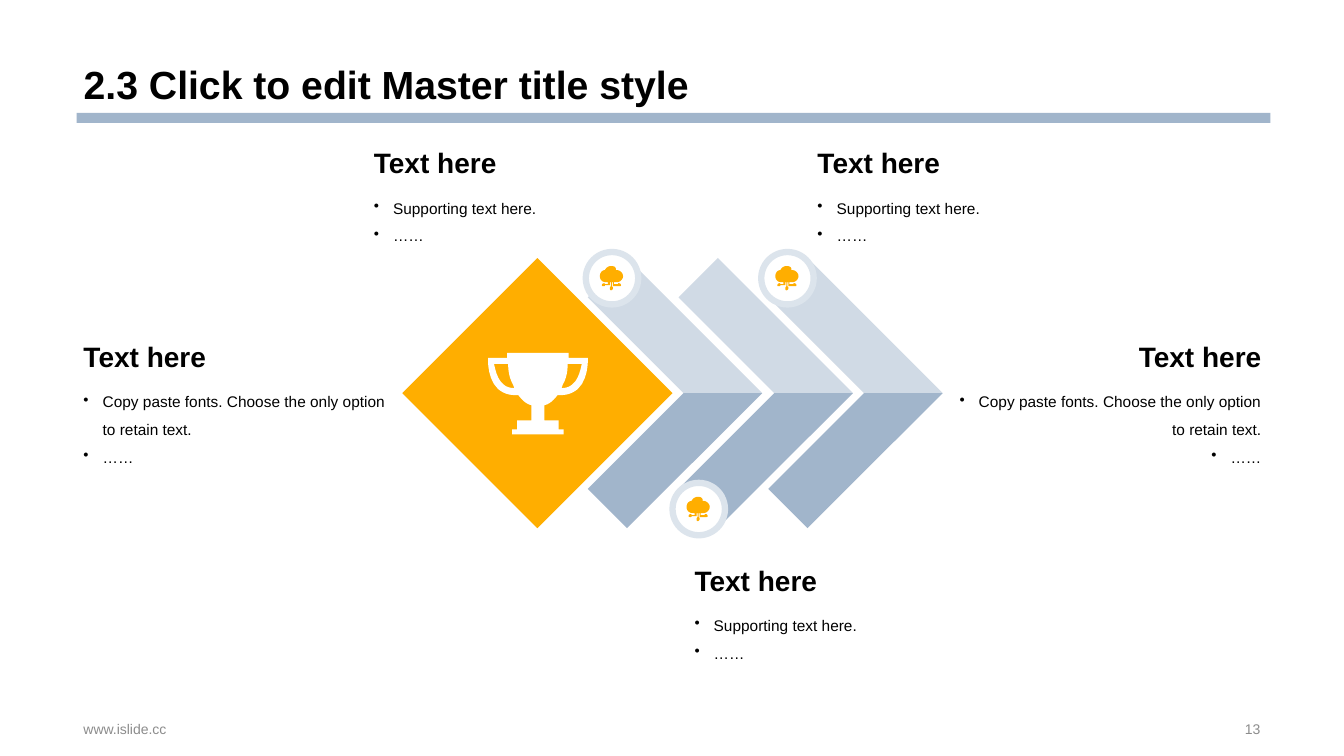
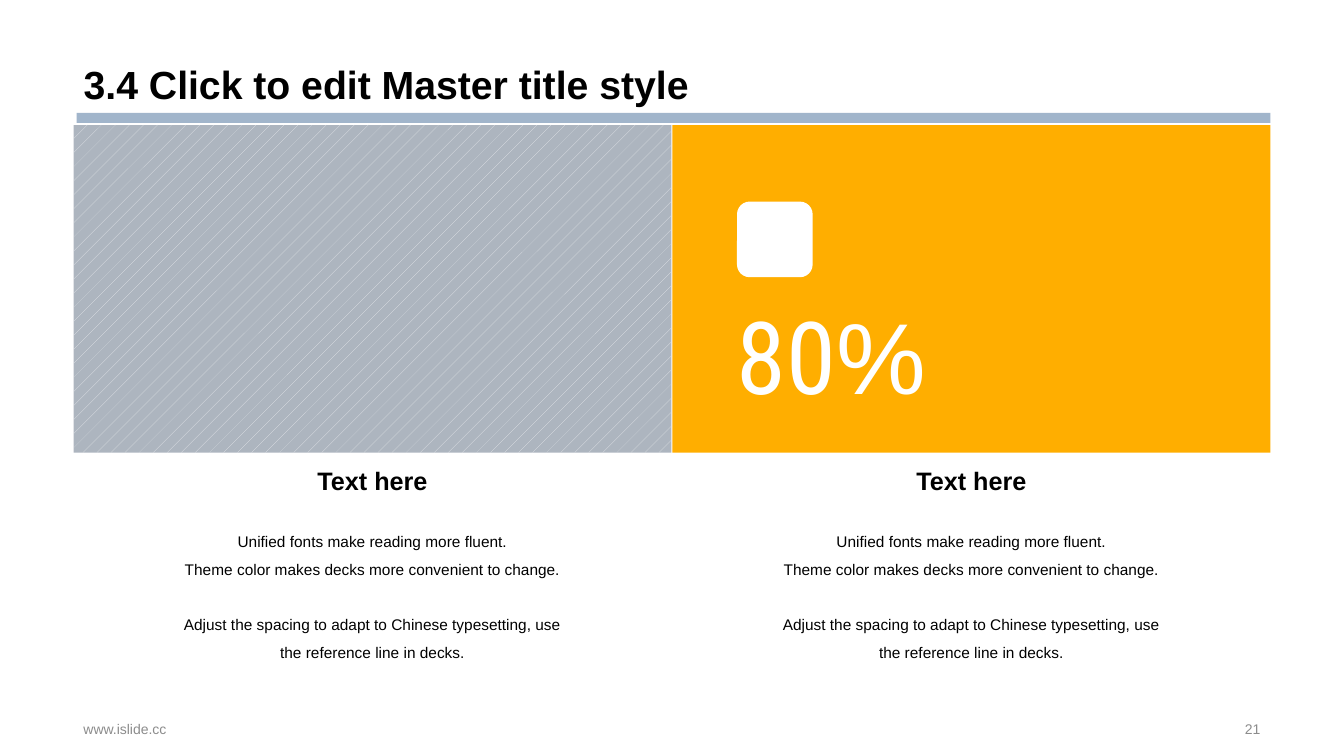
import dataclasses
import typing

import lxml.etree
import pptx
import pptx.dml.color
import pptx.enum.dml
import pptx.enum.shapes
import pptx.enum.text
import pptx.oxml.ns
import pptx.shapes.autoshape
import pptx.slide
import pptx.text.text
import pptx.util

EMU_PER_PX = 9144  # 100 px to the inch
ALIGN = pptx.enum.text.PP_ALIGN
ANCHOR = pptx.enum.text.MSO_ANCHOR
SHAPE = pptx.enum.shapes.MSO_SHAPE

Point = tuple[float, float]
# Two numbers draw a line to a point, six draw a cubic curve
Segment = tuple[int, ...]


@dataclasses.dataclass(frozen=True)
class Theme:
    black: str = "000000"
    white: str = "FFFFFF"
    grey: str = "8C8C8C"
    accent: str = "FFAE00"
    steel: str = "A1B5CB"
    pale: str = "D0DAE5"
    ring: str = "DCE4EC"
    hatch: str = "E4E6EA"
    hatch_ground: str = "ADB5BF"
    font: str = "Arial"
    number_font: str = "Roboto Condensed"
    title_size: int = 28
    heading_size: int = 20
    column_heading_size: int = 18
    body_size: int = 11
    footer_size: int = 10
    number_size: int = 72


THEME = Theme()


class Box(typing.NamedTuple):
    left: int
    top: int
    width: int
    height: int


@dataclasses.dataclass(frozen=True)
class Note:
    left: int
    top: int
    width: int
    body_height: int
    body: str
    align: ALIGN = ALIGN.LEFT


# Content
HEADING = "Text here"
LONG_BODY = "Copy paste fonts. Choose the only option to retain text.\n……"
SHORT_BODY = "Supporting text here.\n……"
COLUMN_BODY = (
    "Unified fonts make reading more fluent.\n"
    "Theme color makes decks more convenient to change.\n"
    "Adjust the spacing to adapt to Chinese typesetting, use the reference line in decks."
)
NOTES = (
    Note(73, 327, 320, 116, LONG_BODY),
    Note(934, 327, 327, 116, LONG_BODY, ALIGN.RIGHT),
    Note(361, 135, 240, 72, SHORT_BODY),
    Note(801, 135, 240, 72, SHORT_BODY),
    Note(679, 549, 240, 72, SHORT_BODY),
)
BADGES = ((581, 250), (667, 479), (755, 250))

# Icon outlines
CLOUD: tuple[Segment, ...] = (
    (17, 16), (20, 16, 23, 13, 23, 10), (23, 7, 20, 4, 17, 4), (16, 4),
    (16, 3, 16, 2, 15, 1), (14, 0, 12, 0, 11, 0), (8, 0, 6, 2, 5, 4),
    (2, 4, 0, 7, 0, 10), (0, 13, 2, 16, 6, 16), (8, 16), (8, 18), (5, 18),
    (5, 17, 4, 17, 4, 17), (3, 17, 2, 18, 2, 19), (2, 20, 3, 20, 4, 20),
    (4, 20, 5, 20, 5, 19), (10, 19), (10, 16), (11, 16), (11, 20),
    (10, 21, 10, 21, 10, 22), (10, 23, 10, 24, 11, 24), (12, 24, 13, 23, 13, 22),
    (13, 21, 13, 21, 12, 20), (12, 16), (13, 16), (13, 20), (18, 20), (19, 20),
    (20, 20, 21, 20, 21, 19), (21, 18, 20, 17, 19, 17), (18, 17, 18, 17, 18, 18),
    (14, 18), (14, 16),
)
TROPHY_WIDTH = 99
TROPHY_HALF: tuple[Segment, ...] = (
    (19, 0), (19, 5), (0, 5), (0, 8), (0, 9, 0, 27, 10, 36), (15, 40, 20, 42, 27, 42),
    (30, 42), (34, 47, 38, 51, 43, 52), (43, 67), (29, 67), (29, 76), (24, 76), (24, 81),
)
TROPHY_HANDLE: tuple[Segment, ...] = (
    (15, 31), (9, 26, 7, 16, 6, 11), (20, 11), (20, 18, 21, 25, 25, 32),
    (26, 35), (22, 35, 18, 34, 15, 31),
)


def px(value: float) -> pptx.util.Emu:
    return pptx.util.Emu(round(value * EMU_PER_PX))


def rgb(color: str) -> pptx.dml.color.RGBColor:
    return pptx.dml.color.RGBColor.from_string(color)


# Text
def add_run(
    paragraph: pptx.text.text._Paragraph, text: str, *, size: int,
    color: str = THEME.black, bold: bool = False, font: str = THEME.font,
) -> None:
    run = paragraph.add_run()
    run.text = text
    run.font.size = pptx.util.Pt(size)
    run.font.bold = bold
    run.font.name = font
    run.font.color.rgb = rgb(color)


def add_bullet(paragraph: pptx.text.text._Paragraph, indent: int = 19) -> None:
    properties = paragraph._p.get_or_add_pPr()
    properties.set("marL", str(px(indent)))
    properties.set("indent", str(-px(indent)))
    bullet = lxml.etree.SubElement(properties, pptx.oxml.ns.qn("a:buChar"))
    bullet.set("char", "•")


def write_text(
    frame: pptx.text.text.TextFrame, text: str, *, align: ALIGN = ALIGN.LEFT,
    anchor: ANCHOR = ANCHOR.TOP, line_spacing: float = 1.0, bullets: bool = False,
    gaps: dict[int, int] | None = None, **run_format: typing.Any,
) -> None:
    """Write one paragraph a line; gaps gives points before a paragraph."""
    frame.word_wrap = True
    frame.auto_size = pptx.enum.text.MSO_AUTO_SIZE.NONE
    frame.vertical_anchor = anchor
    for index, line in enumerate(text.split("\n")):
        paragraph = frame.add_paragraph() if index else frame.paragraphs[0]
        if bullets:
            add_bullet(paragraph)
        paragraph.alignment = align
        paragraph.line_spacing = line_spacing
        paragraph.space_before = pptx.util.Pt((gaps or {}).get(index, 0))
        add_run(paragraph, line, **run_format)


def add_text(
    slide: pptx.slide.Slide, box: Box, text: str, **text_format: typing.Any
) -> pptx.text.text.TextFrame:
    frame = slide.shapes.add_textbox(*map(px, box)).text_frame
    write_text(frame, text, **text_format)
    return frame


# Shapes
def paint(shape: pptx.shapes.autoshape.Shape, fill: str) -> None:
    shape.shadow.inherit = False
    shape.fill.solid()
    shape.fill.fore_color.rgb = rgb(fill)
    shape.line.fill.background()


def add_block(
    slide: pptx.slide.Slide, box: Box, fill: str, kind: SHAPE = SHAPE.RECTANGLE
) -> pptx.shapes.autoshape.Shape:
    shape = slide.shapes.add_shape(kind, *map(px, box))
    paint(shape, fill)
    return shape


def trace(segments: typing.Iterable[Segment], steps: int = 6) -> list[Point]:
    """Turn lines and cubic curves into points."""
    points: list[Point] = []
    for segment in segments:
        if len(segment) == 2:
            points.append((segment[0], segment[1]))
            continue
        x0, y0 = points[-1]
        x1, y1, x2, y2, x3, y3 = segment
        for step in range(1, steps + 1):
            t = step / steps
            a, b, c, d = (1 - t) ** 3, 3 * t * (1 - t) ** 2, 3 * t * t * (1 - t), t**3
            points.append((a * x0 + b * x1 + c * x2 + d * x3,
                           a * y0 + b * y1 + c * y2 + d * y3))
    return points


def add_outline(
    slide: pptx.slide.Slide, left: int, top: int, fill: str, *contours: list[Point]
) -> None:
    builder = None
    for contour in contours:
        first, *rest = [(px(left + x), px(top + y)) for x, y in contour]
        if builder is None:
            builder = slide.shapes.build_freeform(*first, scale=1.0)
        else:
            builder.move_to(*first)
        builder.add_line_segments(rest, close=True)
    paint(builder.convert_to_shape(), fill)


def mirror(points: list[Point]) -> list[Point]:
    return [(TROPHY_WIDTH - x, y) for x, y in reversed(points)]


# Shared slide frame
def add_framed_slide(
    presentation: pptx.presentation.Presentation, title: str, number: int
) -> pptx.slide.Slide:
    slide = presentation.slides.add_slide(presentation.slide_layouts[5])
    add_block(slide, Box(76, 112, 1184, 10), THEME.steel)
    holder = slide.shapes.title
    holder.left, holder.top, holder.width, holder.height = map(px, Box(73, 0, 1187, 112))
    write_text(holder.text_frame, title, size=THEME.title_size, bold=True,
               anchor=ANCHOR.BOTTOM, line_spacing=0.9)
    for box, text, align in (
        (Box(73, 712, 453, 23), "www.islide.cc", ALIGN.LEFT),
        (Box(942, 712, 318, 23), str(number), ALIGN.RIGHT),
    ):
        add_text(slide, box, text, size=THEME.footer_size, color=THEME.grey,
                 align=align, anchor=ANCHOR.MIDDLE)
    return slide


# Slide with diamond and chevrons
def draw_chevrons(slide: pptx.slide.Slide) -> None:
    axis = 390
    for left in (583, 673, 762):
        for side, fill in ((-1, THEME.pale), (1, THEME.steel)):
            arm = [(0, side * 95), (39, side * 134), (173, 0), (95, 0)]
            add_outline(slide, left, axis, fill, arm)
    add_block(slide, Box(399, 256, 268, 268), THEME.accent, SHAPE.DIAMOND)


def build_process_slide(presentation: pptx.presentation.Presentation) -> None:
    slide = add_framed_slide(presentation, "2.3 Click to edit Master title style", 13)
    draw_chevrons(slide)
    for left, top in BADGES:
        badge = add_block(slide, Box(left, top, 52, 52), THEME.white, SHAPE.OVAL)
        badge.line.color.rgb = rgb(THEME.ring)
        badge.line.width = pptx.util.Pt(4.5)
        add_outline(slide, left + 14, top + 14, THEME.accent, trace(CLOUD))
    half, handle = trace(TROPHY_HALF), trace(TROPHY_HANDLE)
    add_outline(slide, 484, 350, THEME.white, half + mirror(half), handle, mirror(handle))
    for note in NOTES:
        add_text(slide, Box(note.left, note.top, note.width, 48), HEADING, bold=True,
                 size=THEME.heading_size, align=note.align, anchor=ANCHOR.BOTTOM)
        add_text(slide, Box(note.left, note.top + 48, note.width, note.body_height),
                 note.body, size=THEME.body_size, align=note.align,
                 line_spacing=1.5, bullets=True)


# Slide with two panels
def build_panel_slide(presentation: pptx.presentation.Presentation) -> None:
    slide = add_framed_slide(presentation, "3.4 Click to edit Master title style", 21)
    panel_width = 593
    for left in (73, 73 + panel_width + 1):
        panel = add_block(slide, Box(left, 124, panel_width, 325), THEME.accent)
        if left == 73:
            panel.fill.patterned()
            panel.fill.pattern = pptx.enum.dml.MSO_PATTERN.PERCENT_5
            panel.fill.fore_color.rgb = rgb(THEME.hatch)
            panel.fill.back_color.rgb = rgb(THEME.hatch_ground)
        add_text(slide, Box(left + 98, 449, 397, 48), HEADING, bold=True,
                 size=THEME.column_heading_size, align=ALIGN.CENTER, anchor=ANCHOR.BOTTOM)
        add_text(slide, Box(left + 98, 496, 397, 183), COLUMN_BODY, size=THEME.body_size,
                 align=ALIGN.CENTER, anchor=ANCHOR.MIDDLE, line_spacing=1.5, gaps={2: 20})
    add_block(slide, Box(731, 200, 75, 75), THEME.white, SHAPE.ROUNDED_RECTANGLE)
    number = add_text(slide, Box(721, 286, 216, 121), "80", size=THEME.number_size,
                      color=THEME.white, font=THEME.number_font)
    number.word_wrap = False
    add_run(number.paragraphs[0], "%", size=THEME.number_size, color=THEME.white)


def main() -> None:
    presentation = pptx.Presentation()
    presentation.slide_width, presentation.slide_height = px(1333), px(750)
    build_process_slide(presentation)
    build_panel_slide(presentation)
    presentation.save("out.pptx")


if __name__ == "__main__":
    main()
